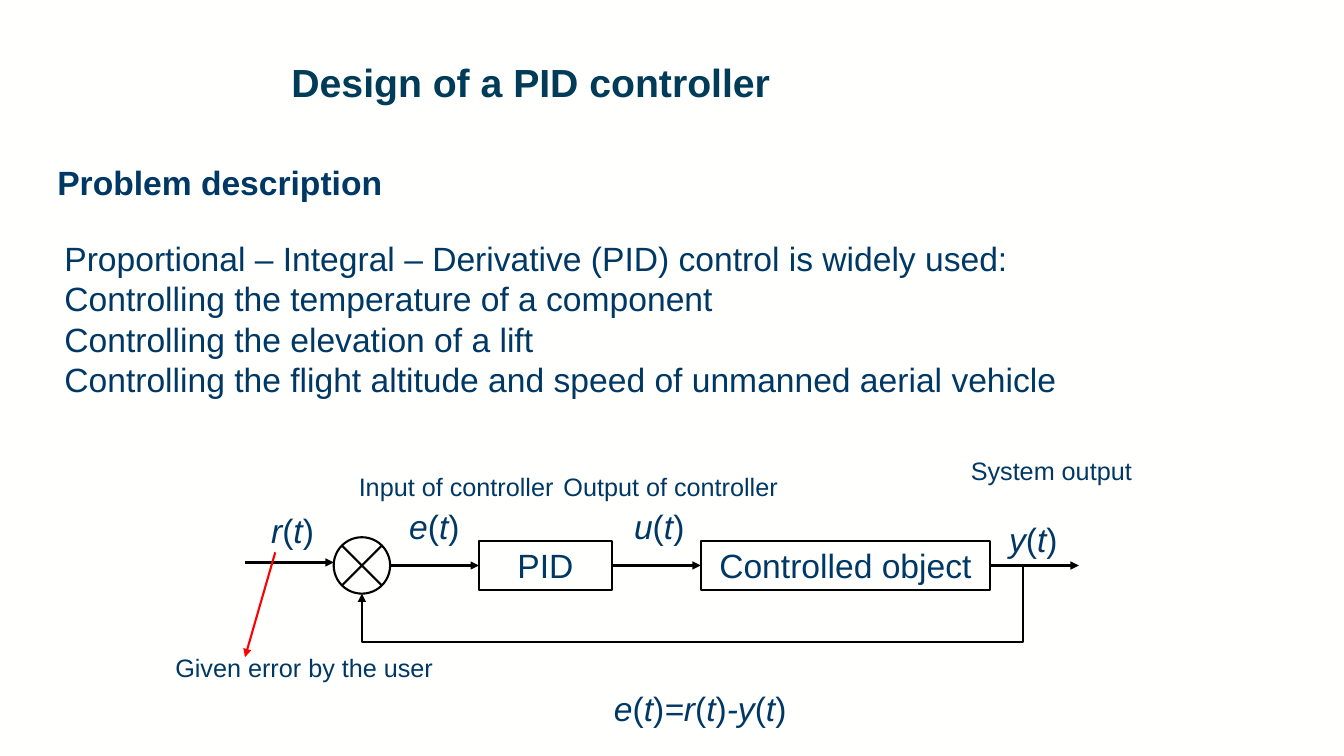
from lxml import etree
from pptx import Presentation
from pptx.dml.color import RGBColor
from pptx.enum.shapes import MSO_CONNECTOR, MSO_SHAPE
from pptx.enum.text import MSO_ANCHOR, PP_ALIGN
from pptx.oxml.ns import qn
from pptx.util import Inches, Pt

TITLE_BLUE = RGBColor(0x00, 0x3B, 0x58)
TEXT_BLUE = RGBColor(0x00, 0x38, 0x65)
PAPER = RGBColor(0xFF, 0xFF, 0xFE)
BLACK = RGBColor(0, 0, 0)
RED = RGBColor(0xFF, 0, 0)

# Content
TITLE = "Design of a PID controller"
HEADING = "Problem description"
USES = [
    "Proportional – Integral – Derivative (PID) control is widely used:",
    "Controlling the temperature of a component",
    "Controlling the elevation of a lift",
    "Controlling the flight altitude and speed of unmanned aerial vehicle",
]
# (text, left, top, width, height)
SIGNALS = [
    ("r(t)", 2.59, 5.01, 0.65, 0.5),
    ("e(t)", 3.96, 4.97, 0.71, 0.5),
    ("u(t)", 6.19, 4.97, 0.71, 0.5),
    ("y(t)", 9.91, 5.1, 0.69, 0.5),
    ("e(t)=r(t)-y(t)", 5.99, 6.78, 1.92, 0.5),
]
CAPTIONS = [
    ("System output", 9.53, 4.47, 1.81, 0.4),
    ("Output of controller", 5.49, 4.63, 2.35, 0.4),
    ("Input of controller", 3.46, 4.63, 2.15, 0.4),
    ("Given error by the user", 1.64, 6.42, 2.78, 0.4),
]
# (text, left, width)
BLOCKS = [("PID", 4.75, 1.32), ("Controlled object", 6.95, 2.87)]

# Diagram measures
AXIS_Y = 5.61
BLOCK_HEIGHT = 0.48
SUM_LEFT, SUM_SIZE = 3.31, 0.56
SUM_X, SUM_RIGHT = SUM_LEFT + SUM_SIZE / 2, SUM_LEFT + SUM_SIZE
CROSS = 0.2
ARROW_LENGTH = 0.88
INPUT_Y = 5.58
FEEDBACK_START = (10.15, 5.63)
FEEDBACK_END = (SUM_X, AXIS_Y + SUM_SIZE / 2)
FEEDBACK_Y = 6.37

prs = Presentation()
prs.slide_width, prs.slide_height = Inches(13.33), Inches(7.5)
slide = prs.slides.add_slide(prs.slide_layouts[5])
slide.background.fill.solid()
slide.background.fill.fore_color.rgb = PAPER


def write(frame, lines, size=24, color=TEXT_BLUE, bold=False, wrap=True,
          align=PP_ALIGN.LEFT, anchor=MSO_ANCHOR.TOP, formula=False):
    """Fill a text frame; in a formula all but the brackets is italic."""
    frame.word_wrap = wrap
    frame.vertical_anchor = anchor
    for i, line in enumerate(lines):
        paragraph = frame.add_paragraph() if i else frame.paragraphs[0]
        paragraph.alignment = align
        for piece in line if formula else [line]:
            run = paragraph.add_run()
            run.text = piece
            run.font.name, run.font.size = "Arial", Pt(size)
            run.font.color.rgb, run.font.bold = color, bold
            run.font.italic = formula and piece not in "()"


def label(lines, left, top, width, height, **style):
    box = slide.shapes.add_textbox(*map(Inches, (left, top, width, height)))
    write(box.text_frame, lines, **style)


def outlined(kind, left, top, width, height):
    shape = slide.shapes.add_shape(kind, *map(Inches, (left, top, width, height)))
    shape.shadow.inherit = False
    shape.fill.solid()
    shape.fill.fore_color.rgb = PAPER
    shape.line.color.rgb, shape.line.width = BLACK, Pt(1.5)
    return shape


def connect(start, end, kind=MSO_CONNECTOR.STRAIGHT, color=BLACK, arrow=True):
    line = slide.shapes.add_connector(kind, *map(Inches, (*start, *end)))
    line.line.color.rgb, line.line.width = color, Pt(1.5)
    if arrow:
        etree.SubElement(line.line._get_or_add_ln(), qn("a:tailEnd"), type="triangle")
    etree.SubElement(line._element.spPr, qn("a:effectLst"))
    return line


# Title and text
title = slide.shapes.title
title.left, title.top, title.width, title.height = map(
    Inches, (2.79, 0.58, 10.07, 0.97))
write(title.text_frame, [TITLE], size=28, color=TITLE_BLUE, bold=True)
title.text_frame.paragraphs[0].line_spacing = 0.9
label([HEADING], 0.47, 1.56, 9.51, 0.5, bold=True)
label(USES, 0.54, 2.31, 10.58, 1.71)

# Summing point
outlined(MSO_SHAPE.OVAL, SUM_LEFT, AXIS_Y - SUM_SIZE / 2, SUM_SIZE, SUM_SIZE)
for rise in (CROSS, -CROSS):
    connect((SUM_X - CROSS, AXIS_Y - rise), (SUM_X + CROSS, AXIS_Y + rise), arrow=False)

# Blocks
blocks = []
for text, left, width in BLOCKS:
    block = outlined(MSO_SHAPE.RECTANGLE, left, AXIS_Y - BLOCK_HEIGHT / 2,
                     width, BLOCK_HEIGHT)
    write(block.text_frame, [text], wrap=False, align=PP_ALIGN.CENTER,
          anchor=MSO_ANCHOR.MIDDLE)
    blocks.append(block)
pid, controlled = blocks

# Signal path: each arrow has the same length
arrows = []
for x, y in [(SUM_LEFT - ARROW_LENGTH, INPUT_Y), (SUM_RIGHT, AXIS_Y),
             (6.07, AXIS_Y), (9.82, AXIS_Y)]:
    arrows.append(connect((x, y), (x + ARROW_LENGTH, y)))
reference, error, control, output = arrows
error.end_connect(pid, 1)
control.begin_connect(pid, 3)
control.end_connect(controlled, 1)
output.begin_connect(controlled, 3)

# Feedback: down, back below the blocks, and up into the summing point
feedback = connect(FEEDBACK_START, FEEDBACK_END, MSO_CONNECTOR.ELBOW)
bend = feedback._element.spPr.find(qn("a:prstGeom"))
bend.set("prst", "bentConnector4")
drop = (FEEDBACK_Y - FEEDBACK_START[1]) / (FEEDBACK_END[1] - FEEDBACK_START[1])
for name, share in (("adj1", 0), ("adj2", drop)):
    etree.SubElement(bend.find(qn("a:avLst")), qn("a:gd"), name=name,
                     fmla=f"val {round(share * 100000)}")

# Labels
for text, *place in SIGNALS:
    label([text], *place, wrap=False, formula=True)
for text, *place in CAPTIONS:
    label([text], *place, size=18, wrap=False)
connect((2.73, 5.48), (2.43, 6.52), color=RED)

prs.save("out.pptx")
